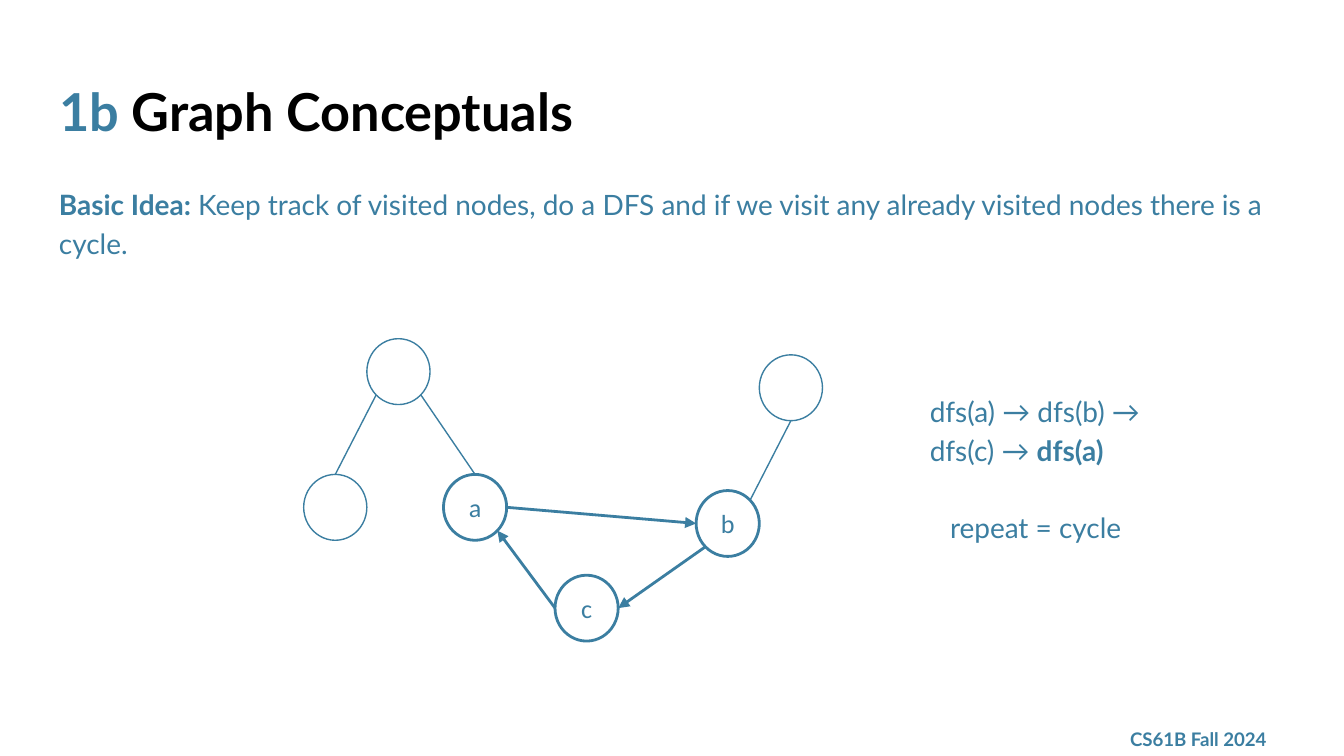
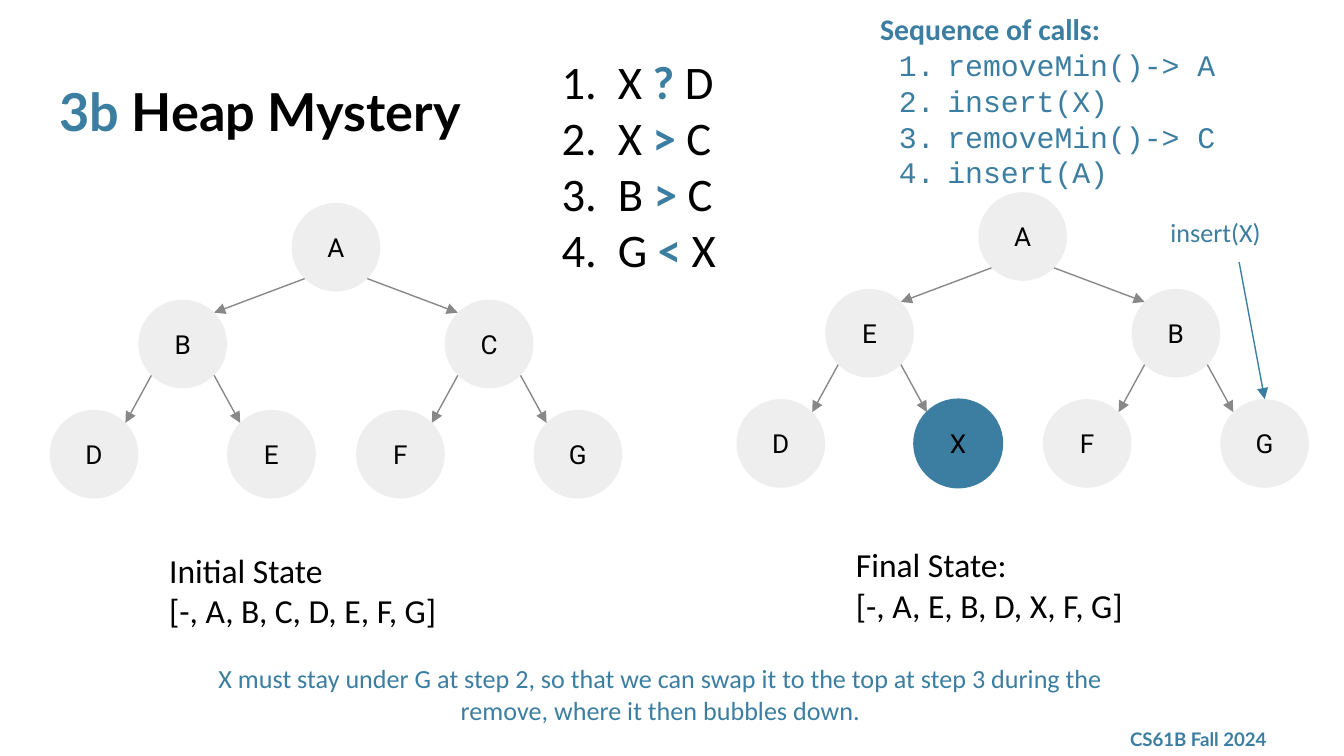
import math
from dataclasses import dataclass, field
from typing import Any, NamedTuple, Optional

from lxml import etree
from pptx import Presentation
from pptx.dml.color import RGBColor
from pptx.enum import shapes, text
from pptx.oxml.ns import qn
from pptx.util import Inches, Pt

SLIDE_WIDTH = Inches(10)
SLIDE_HEIGHT = SLIDE_WIDTH * 9 // 16

BLUE = RGBColor(0x3B, 0x7E, 0xA1)
BLACK = RGBColor(0, 0, 0)
PALE = RGBColor(0xEE, 0xEE, 0xEE)
GREY = RGBColor(0x88, 0x88, 0x88)

TITLE = dict(name="Lato", size=Pt(28), bold=True)
BODY = dict(name="Lato", size=Pt(15), color=BLUE)
FOOTER = dict(name="Lato", size=Pt(10), bold=True, color=BLUE)
NOTE = dict(name="Calibri", size=Pt(14), color=BLUE)
STATE = dict(name="Calibri", size=Pt(18), color=BLACK)
COMPARE = dict(name="Calibri", size=Pt(25), color=BLACK)
CALLS_HEAD = dict(name="Calibri", size=Pt(16), bold=True, color=BLUE)
CALL = dict(name="Courier New", size=Pt(16), color=BLUE)
KEY = dict(name="Roboto", size=Pt(14), color=BLACK)

MIDDLE = text.MSO_ANCHOR.MIDDLE
CENTER = text.PP_ALIGN.CENTER

# Connection sites of an ellipse, counted anticlockwise from the top
TOP, TOP_LEFT, LEFT, BOTTOM_LEFT, BOTTOM, BOTTOM_RIGHT, RIGHT, TOP_RIGHT = range(8)

GRAPH_NODE = (0.47, 0.49)
HEAP_NODE = (0.66, 0.66)
HEAP_STEPS = ((1.14, 0.72), (0.66, 0.82))


class Run(NamedTuple):
    text: str
    fmt: dict[str, Any]


@dataclass
class Para:
    runs: list[Run]
    fmt: dict[str, Any] = field(default_factory=dict)
    hang: Optional[float] = None  # set for a numbered item


@dataclass
class Box:
    left: float
    top: float
    width: float
    height: float
    paras: list[Para]
    anchor: Any = text.MSO_ANCHOR.TOP
    grow: bool = False


@dataclass
class Node:
    left: float
    top: float
    size: tuple[float, float]
    label: str = ""
    font: dict[str, Any] = field(default_factory=lambda: NOTE)
    fill: Optional[RGBColor] = None
    line: Optional[RGBColor] = None
    weight: float = 0.75

    def site(self, index: int) -> tuple[float, float]:
        angle = index * math.pi / 4
        width, height = self.size
        return (self.left + width / 2 * (1 - math.sin(angle)),
                self.top + height / 2 * (1 - math.cos(angle)))


class Edge(NamedTuple):
    start: str
    start_site: int
    end: str
    end_site: int
    color: RGBColor = BLUE
    weight: float = 0.75
    arrow: bool = False


def plain(string: str, font: dict, **fmt) -> Para:
    return Para([Run(string, font)], fmt)


def set_font(font, fmt: dict) -> None:
    for name, value in fmt.items():
        if name == "color":
            font.color.rgb = value
        else:
            setattr(font, name, value)


def number_item(p, hang: float, color: RGBColor) -> None:
    pPr = p._p.get_or_add_pPr()
    pPr.set("marL", str(Inches(0.5)))
    pPr.set("indent", str(-Inches(hang)))
    bu_color = etree.SubElement(pPr, qn("a:buClr"))
    etree.SubElement(bu_color, qn("a:srgbClr"), val=str(color))
    etree.SubElement(pPr, qn("a:buAutoNum"), type="arabicPeriod")


def fill_text(tf, paras: list[Para], anchor=text.MSO_ANCHOR.TOP, grow=False) -> None:
    tf.word_wrap = True
    tf.auto_size = (text.MSO_AUTO_SIZE.SHAPE_TO_FIT_TEXT if grow
                    else text.MSO_AUTO_SIZE.NONE)
    tf.vertical_anchor = anchor
    for side in ("left", "top", "right", "bottom"):
        setattr(tf, f"margin_{side}", Inches(0.1))
    for i, para in enumerate(paras):
        p = tf.add_paragraph() if i else tf.paragraphs[0]
        for name, value in para.fmt.items():
            setattr(p, name, value)
        if para.hang is not None:
            number_item(p, para.hang, para.runs[0].fmt["color"])
        for run in para.runs:
            r = p.add_run()
            r.text = run.text
            set_font(r.font, run.fmt)


def add_box(s, box: Box) -> None:
    sp = s.shapes.add_textbox(*map(Inches, (box.left, box.top, box.width, box.height)))
    fill_text(sp.text_frame, box.paras, box.anchor, box.grow)


def add_node(s, node: Node):
    sp = s.shapes.add_shape(shapes.MSO_SHAPE.OVAL,
                            *map(Inches, (node.left, node.top, *node.size)))
    sp.shadow.inherit = False
    for target, color in ((sp.fill, node.fill), (sp.line.fill, node.line)):
        if color is None:
            target.background()
        else:
            target.solid()
            target.fore_color.rgb = color
    if node.line is not None:
        sp.line.width = Pt(node.weight)
    if node.label:
        fill_text(sp.text_frame, [plain(node.label, node.font, alignment=CENTER)], MIDDLE)
    return sp


def add_line(s, start, end, color: RGBColor, weight: float, arrow: bool):
    line = s.shapes.add_connector(shapes.MSO_CONNECTOR.STRAIGHT,
                                  *map(Inches, (*start, *end)))
    line.line.color.rgb = color
    line.line.width = Pt(weight)
    if arrow:
        etree.SubElement(line.line._get_or_add_ln(), qn("a:tailEnd"), type="triangle")
    etree.SubElement(line._element.spPr, qn("a:effectLst"))
    return line


def add_graph(s, nodes: dict[str, Node], edges: list[Edge]) -> None:
    """Draw the nodes, then the edges glued to their connection sites."""
    ovals = {name: add_node(s, node) for name, node in nodes.items()}
    for e in edges:
        line = add_line(s, nodes[e.start].site(e.start_site),
                        nodes[e.end].site(e.end_site), e.color, e.weight, e.arrow)
        joins = line._element.nvCxnSpPr.cNvCxnSpPr
        for tag, name, site in (("a:stCxn", e.start, e.start_site),
                                ("a:endCxn", e.end, e.end_site)):
            etree.SubElement(joins, qn(tag), id=str(ovals[name].shape_id), idx=str(site))


def add_heap(s, keys: str, left: float, top: float, marked: str = "") -> dict[str, Node]:
    """Draw a binary heap given in level order, its root at left, top."""
    nodes: dict[str, Node] = {}
    edges = []
    for i, key in enumerate(keys):
        x, y = left, top
        if i:
            parent = keys[(i - 1) // 2]
            dx, dy = HEAP_STEPS[0 if i < 3 else 1]
            is_left = i % 2 == 1
            x = nodes[parent].left + (-dx if is_left else dx)
            y = nodes[parent].top + dy
            sites = (BOTTOM_LEFT, TOP_RIGHT) if is_left else (BOTTOM_RIGHT, TOP_LEFT)
            edges.append(Edge(parent, sites[0], key, sites[1], GREY, arrow=True))
        nodes[key] = Node(x, y, HEAP_NODE, key, KEY,
                          fill=BLUE if key == marked else PALE,
                          line=BLUE if key == marked else None)
    add_graph(s, nodes, edges)
    return nodes


def add_state(s, caption: str, keys: str, left: float, top: float) -> None:
    add_box(s, Box(left, top, 2.68, 1.11,
                   [plain(caption, STATE), plain(f"[-, {', '.join(keys)}]", STATE)],
                   grow=True))


def add_slide(prs, number: str, title: str):
    s = prs.slides.add_slide(prs.slide_layouts[5])
    sp = s.shapes.title
    sp.left, sp.top, sp.width, sp.height = map(Inches, (0.34, 0.49, 9.32, 0.63))
    fill_text(sp.text_frame, [Para([Run(number, TITLE | dict(color=BLUE)),
                                    Run(f" {title}", TITLE | dict(color=BLACK))],
                                   dict(alignment=text.PP_ALIGN.LEFT))])
    add_box(s, Box(8.31, 5.37, 1.35, 0.26, [plain("CS61B Fall 2024", FOOTER)], MIDDLE))
    return s


def build_cycle_slide(prs) -> None:
    s = add_slide(prs, "1b", "Graph Conceptuals")
    bold = BODY | dict(bold=True)
    spaced = dict(line_spacing=1.15)
    add_box(s, Box(0.34, 1.26, 9.32, 0.86, [Para([
        Run("Basic Idea: ", bold),
        Run("Keep track of visited nodes, do a DFS and if we visit any already "
            "visited nodes there is a cycle.", BODY),
    ], spaced | dict(space_after=Pt(16)))]))

    nodes = {name: Node(x, y, GRAPH_NODE, line=BLUE) for name, x, y in (
        ("left root", 2.73, 2.52), ("leaf", 2.26, 3.53), ("right root", 5.65, 2.64))}
    nodes |= {name: Node(x, y, GRAPH_NODE, name, line=BLUE, weight=1.5)
              for name, x, y in (("a", 3.3, 3.53), ("b", 5.18, 3.65), ("c", 4.13, 4.28))}
    cycle = dict(weight=1.5, arrow=True)
    add_graph(s, nodes, [
        Edge("left root", BOTTOM_LEFT, "leaf", TOP),
        Edge("left root", BOTTOM_RIGHT, "a", TOP),
        Edge("a", RIGHT, "b", LEFT, **cycle),
        Edge("b", BOTTOM_LEFT, "c", RIGHT, **cycle),
        Edge("c", LEFT, "a", BOTTOM_RIGHT, **cycle),
        Edge("b", TOP_RIGHT, "right root", BOTTOM),
    ])

    add_box(s, Box(6.82, 2.8, 2.03, 0.86, [Para([
        Run("dfs(a) → dfs(b) → dfs(c) → ", BODY), Run("dfs(a)", bold)], spaced)]))
    add_box(s, Box(6.97, 3.66, 1.78, 0.86, [plain("repeat = cycle", BODY, **spaced)]))


def build_heap_slide(prs) -> None:
    s = add_slide(prs, "3b", "Heap Mystery")
    initial, final = "ABCDEFG", "AEBDXFG"
    add_heap(s, initial, 2.17, 1.51)
    add_state(s, "Initial State", initial, 1.16, 3.99)
    heap = add_heap(s, final, 7.28, 1.43, marked="X")
    add_state(s, "Final State:", final, 6.27, 3.95)

    sign = COMPARE | dict(color=BLUE, bold=True)
    add_box(s, Box(4, 0.29, 3.64, 1.89, [
        Para([Run(f"{a} ", COMPARE), Run(op, sign), Run(f" {b}", COMPARE)], hang=0.42)
        for a, op, b in ("X?D", "X>C", "B>C", "G<X")], grow=True))
    add_box(s, Box(1.41, 4.83, 7.01, 0.67, [plain(
        "X must stay under G at step 2, so that we can swap it to the top at step 3 "
        "during the remove, where it then bubbles down.", NOTE, alignment=CENTER)],
        grow=True))
    add_box(s, Box(8.61, 1.51, 1.22, 0.44, [plain("insert(X)", NOTE)], grow=True))
    add_line(s, (9.22, 1.95), heap["G"].site(TOP), BLUE, 0.75, arrow=True)

    calls = ("removeMin()-> A", "insert(X)", "removeMin()-> C", "insert(A)")
    add_box(s, Box(6.45, -0.02, 2.79, 1.55, [
        plain("Sequence of calls:", CALLS_HEAD),
        *(Para([Run(call, CALL)], hang=0.36) for call in calls)], grow=True))


def main() -> None:
    prs = Presentation()
    prs.slide_width, prs.slide_height = SLIDE_WIDTH, SLIDE_HEIGHT
    build_cycle_slide(prs)
    build_heap_slide(prs)
    prs.save("out.pptx")


if __name__ == "__main__":
    main()
